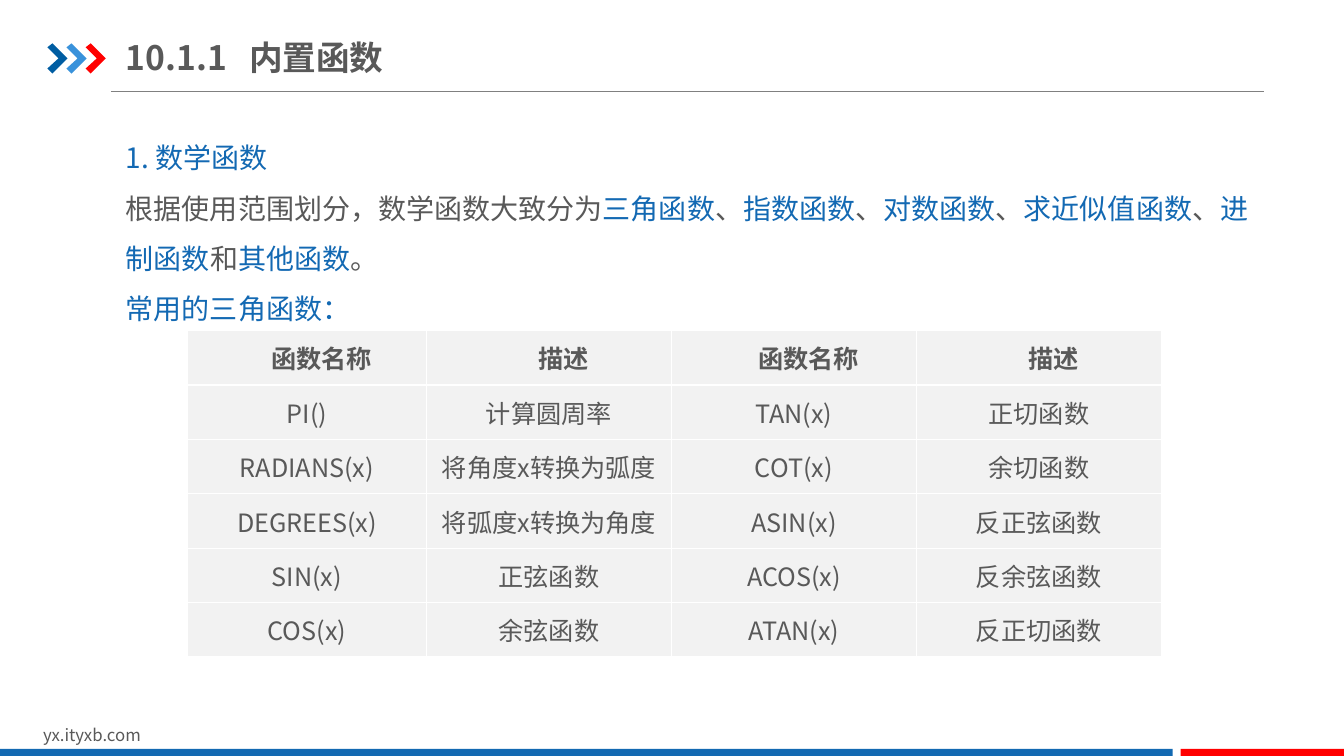
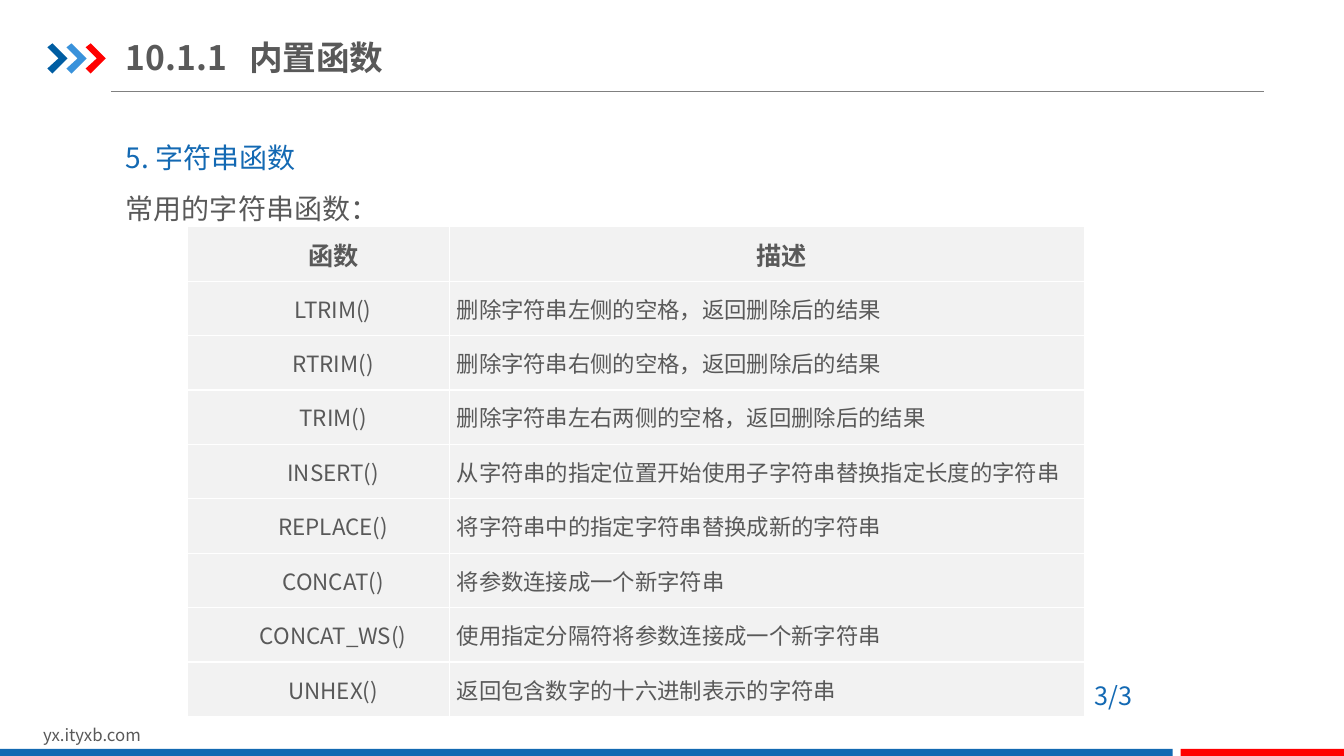
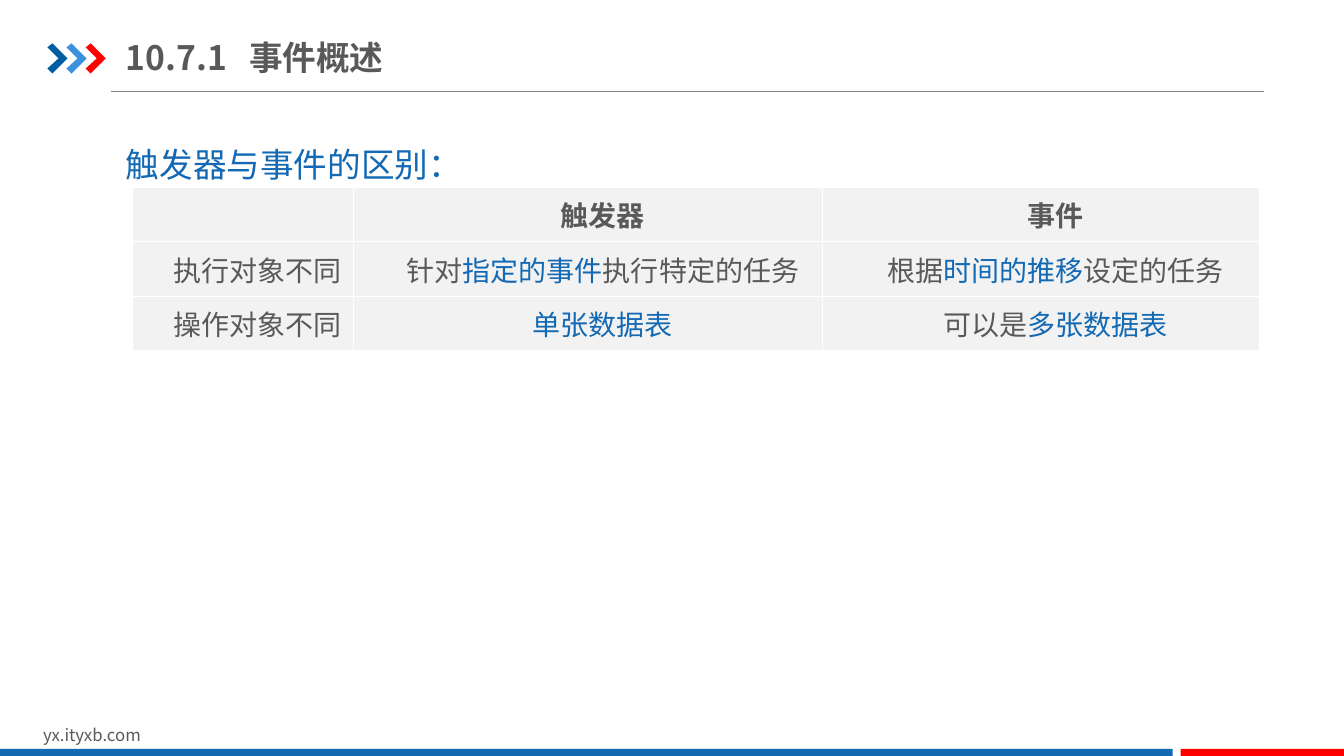
from dataclasses import dataclass

from lxml import etree
from pptx import Presentation
from pptx.dml.color import RGBColor
from pptx.enum.shapes import MSO_CONNECTOR, MSO_SHAPE
from pptx.enum.text import MSO_ANCHOR, MSO_AUTO_SIZE, PP_ALIGN
from pptx.oxml.ns import qn
from pptx.util import Inches, Pt

STRAIGHT = MSO_CONNECTOR.STRAIGHT
RECTANGLE = MSO_SHAPE.RECTANGLE
MIDDLE = MSO_ANCHOR.MIDDLE
FIT_SHAPE = MSO_AUTO_SIZE.SHAPE_TO_FIT_TEXT
LEFT, CENTER = PP_ALIGN.LEFT, PP_ALIGN.CENTER


@dataclass(frozen=True)
class Theme:
    font: str = "Noto Sans CJK SC"
    text: str = "595959"
    accent: str = "1369B3"
    bar: str = "1369B2"
    red: str = "FF0000"
    rule: str = "808080"
    cell: str = "F2F2F2"
    border: str = "FFFFFF"
    chevrons: tuple = ("005DA2", "3992DB", "FF0000")
    title_size: int = 24
    body_size: int = 20
    table_size: int = 18
    detail_size: int = 16
    footer_size: int = 12


THEME = Theme()
INDENTED = {"alignment": CENTER, "indent": 0.29}
CENTERED = {"alignment": CENTER, "indent": 0}
FLUSH = {"alignment": LEFT, "indent": 0}
ROW_HEIGHT = 0.54
CHEVRON_PITCH = 0.19
CHEVRON = [(0.47, 0.47), (0.52, 0.43), (0.67, 0.58),
           (0.52, 0.73), (0.47, 0.68), (0.58, 0.58)]


def set_all(target, values):
    for name, value in values.items():
        setattr(target, name, value)


class Deck:
    def __init__(self, theme):
        self.theme = theme
        self.presentation = Presentation()
        self.presentation.slide_width = Inches(13.33)
        self.presentation.slide_height = Inches(7.5)
        self.slide = None

    def new_slide(self, number, title):
        layout = self.presentation.slide_layouts[6]
        self.slide = self.presentation.slides.add_slide(layout)
        self.rule(1.1, 12.54, 0.91)
        self.chevrons()
        self.text(0.33, 7.14, 3.18, 0.3, ["yx.ityxb.com"], self.theme.footer_size)
        self.bar(0, 11.63, self.theme.bar)
        self.bar(11.71, 1.62, self.theme.red)
        self.title(number, title)

    def rule(self, left, right, top):
        line = self.slide.shapes.add_connector(
            STRAIGHT, Inches(left), Inches(top), Inches(right), Inches(top))
        line.line.color.rgb = RGBColor.from_string(self.theme.rule)
        line.line.width = Pt(0.75)
        etree.SubElement(line._element.spPr, qn("a:effectLst"))

    def paint(self, shape, color):
        shape.shadow.inherit = False
        shape.fill.solid()
        shape.fill.fore_color.rgb = RGBColor.from_string(color)
        shape.line.fill.background()

    def chevrons(self):
        group = self.slide.shapes.add_group_shape()
        for index, color in enumerate(self.theme.chevrons):
            points = [(Inches(x + index * CHEVRON_PITCH), Inches(y)) for x, y in CHEVRON]
            builder = group.shapes.build_freeform(*points[0])
            builder.add_line_segments(points[1:], close=True)
            self.paint(builder.convert_to_shape(), color)

    def bar(self, left, width, color):
        shape = self.slide.shapes.add_shape(
            RECTANGLE, Inches(left), Inches(7.43), Inches(width), Inches(0.07))
        self.paint(shape, color)

    def runs(self, paragraph, text, size, bold=False):
        """Write text, with the parts between vertical bars in the accent colour."""
        for index, part in enumerate(text.split("|")):
            if not part:
                continue
            run = paragraph.add_run()
            run.text = part
            set_all(run.font, {"name": self.theme.font, "size": Pt(size), "bold": bold})
            color = self.theme.accent if index % 2 else self.theme.text
            run.font.color.rgb = RGBColor.from_string(color)
            east_asian = etree.SubElement(run._r.get_or_add_rPr(), qn("a:ea"))
            east_asian.set("typeface", self.theme.font)

    def frame(self, left, top, width, height):
        box = self.slide.shapes.add_textbox(
            Inches(left), Inches(top), Inches(width), Inches(height))
        return box.text_frame

    def title(self, number, title):
        frame = self.frame(1.25, 0.29, 5.73, 0.55)
        set_all(frame, {"word_wrap": True, "vertical_anchor": MIDDLE,
                        "margin_left": 0, "margin_right": 0,
                        "margin_top": Inches(0.07), "margin_bottom": Inches(0.07)})
        paragraph = frame.paragraphs[0]
        tabs = etree.SubElement(paragraph._p.get_or_add_pPr(), qn("a:tabLst"))
        etree.SubElement(tabs, qn("a:tab"), pos=str(Inches(1.22)), algn="l")
        self.runs(paragraph, f"{number}\t{title}", self.theme.title_size, True)

    def text(self, left, top, width, height, lines, size, spacing=1.0, wrap=True):
        frame = self.frame(left, top, width, height)
        set_all(frame, {"word_wrap": wrap, "auto_size": FIT_SHAPE})
        for index, line in enumerate(lines):
            paragraph = frame.add_paragraph() if index else frame.paragraphs[0]
            paragraph.line_spacing = spacing
            self.runs(paragraph, line, size)

    def table(self, left, top, widths, rows, formats, header_size, body_size):
        """Draw rows under a bold header; formats gives each body column its layout."""
        table = self.slide.shapes.add_table(
            len(rows), len(widths), Inches(left), Inches(top),
            Inches(sum(widths)), Inches(ROW_HEIGHT * len(rows))).table
        set_all(table, {"first_row": False, "horz_banding": False})
        for column, width in zip(table.columns, widths):
            column.width = Inches(width)
        for row_index, row in enumerate(rows):
            table.rows[row_index].height = Inches(ROW_HEIGHT)
            header = row_index == 0
            for column_index, text in enumerate(row):
                self.cell(table.cell(row_index, column_index), text,
                          INDENTED if header else formats[column_index],
                          header_size if header else body_size, header)

    def cell(self, cell, text, layout, size, bold):
        set_all(cell, {"vertical_anchor": MIDDLE, "margin_top": 0, "margin_bottom": 0,
                       "margin_left": Inches(0.07), "margin_right": Inches(0.07)})
        properties = cell._tc.get_or_add_tcPr()
        for side in ("lnL", "lnR", "lnT", "lnB"):
            line = etree.SubElement(properties, qn(f"a:{side}"), w=str(Pt(1)))
            fill = etree.SubElement(line, qn("a:solidFill"))
            etree.SubElement(fill, qn("a:srgbClr"), val=self.theme.border)
        cell.fill.solid()
        cell.fill.fore_color.rgb = RGBColor.from_string(self.theme.cell)
        paragraph = cell.text_frame.paragraphs[0]
        paragraph.alignment = layout["alignment"]
        paragraph_properties = paragraph._p.get_or_add_pPr()
        paragraph_properties.set("marL", "0")
        paragraph_properties.set("indent", str(Inches(layout["indent"])))
        self.runs(paragraph, text, size, bold)


def math_functions(deck):
    deck.new_slide("10.1.1", "内置函数")
    deck.text(1.15, 1.18, 11.4, 2.12, [
        "|1. 数学函数|",
        "根据使用范围划分，数学函数大致分为|三角函数|、|指数函数|、|对数函数|、"
        "|求近似值函数|、|进制函数|和|其他函数|。",
        "|常用的三角函数：|",
    ], THEME.body_size, 1.5)
    deck.table(1.86, 3.28, [2.37, 2.43, 2.43, 2.43], [
        ("函数名称", "描述", "函数名称", "描述"),
        ("PI()", "计算圆周率", "TAN(x)", "正切函数"),
        ("RADIANS(x)", "将角度x转换为弧度", "COT(x)", "余切函数"),
        ("DEGREES(x)", "将弧度x转换为角度", "ASIN(x)", "反正弦函数"),
        ("SIN(x)", "正弦函数", "ACOS(x)", "反余弦函数"),
        ("COS(x)", "余弦函数", "ATAN(x)", "反正切函数"),
    ], [CENTERED] * 4, THEME.table_size, THEME.table_size)


def string_functions(deck):
    deck.new_slide("10.1.1", "内置函数")
    deck.text(1.15, 1.18, 11.4, 1.11, ["|5. 字符串函数|", "常用的字符串函数："],
              THEME.body_size, 1.5)
    deck.table(1.86, 2.25, [2.6, 6.3], [
        ("函数", "描述"),
        ("LTRIM()", "删除字符串左侧的空格，返回删除后的结果"),
        ("RTRIM()", "删除字符串右侧的空格，返回删除后的结果"),
        ("TRIM()", "删除字符串左右两侧的空格，返回删除后的结果"),
        ("INSERT()", "从字符串的指定位置开始使用子字符串替换指定长度的字符串"),
        ("REPLACE()", "将字符串中的指定字符串替换成新的字符串"),
        ("CONCAT()", "将参数连接成一个新字符串"),
        ("CONCAT_WS()", "使用指定分隔符将参数连接成一个新字符串"),
        ("UNHEX()", "返回包含数字的十六进制表示的字符串"),
    ], [INDENTED, FLUSH], THEME.table_size, THEME.detail_size)
    deck.text(10.76, 6.7, 0.61, 0.4, ["|3/3|"], THEME.table_size, wrap=False)


def event_overview(deck):
    deck.new_slide("10.7.1", "事件概述")
    deck.text(1.15, 1.18, 10.94, 0.64, ["|触发器与事件的区别：|"], THEME.title_size, 1.5)
    deck.table(1.31, 1.86, [2.2, 4.65, 4.33], [
        ("", "触发器", "事件"),
        ("执行对象不同", "针对|指定的事件|执行特定的任务", "根据|时间的推移|设定的任务"),
        ("操作对象不同", "|单张数据表|", "可以是|多张数据表|"),
    ], [INDENTED] * 3, THEME.body_size, THEME.body_size)


def main():
    deck = Deck(THEME)
    math_functions(deck)
    string_functions(deck)
    event_overview(deck)
    deck.presentation.save("out.pptx")


if __name__ == "__main__":
    main()
